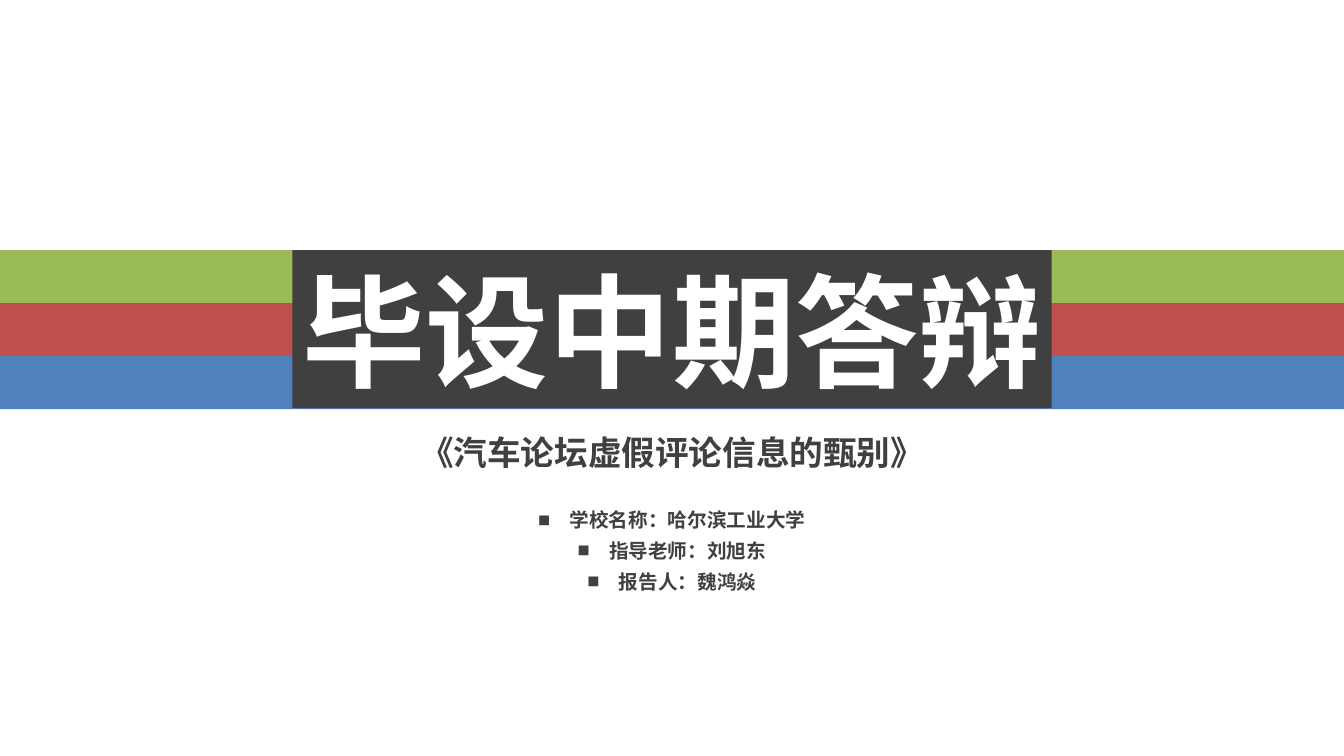
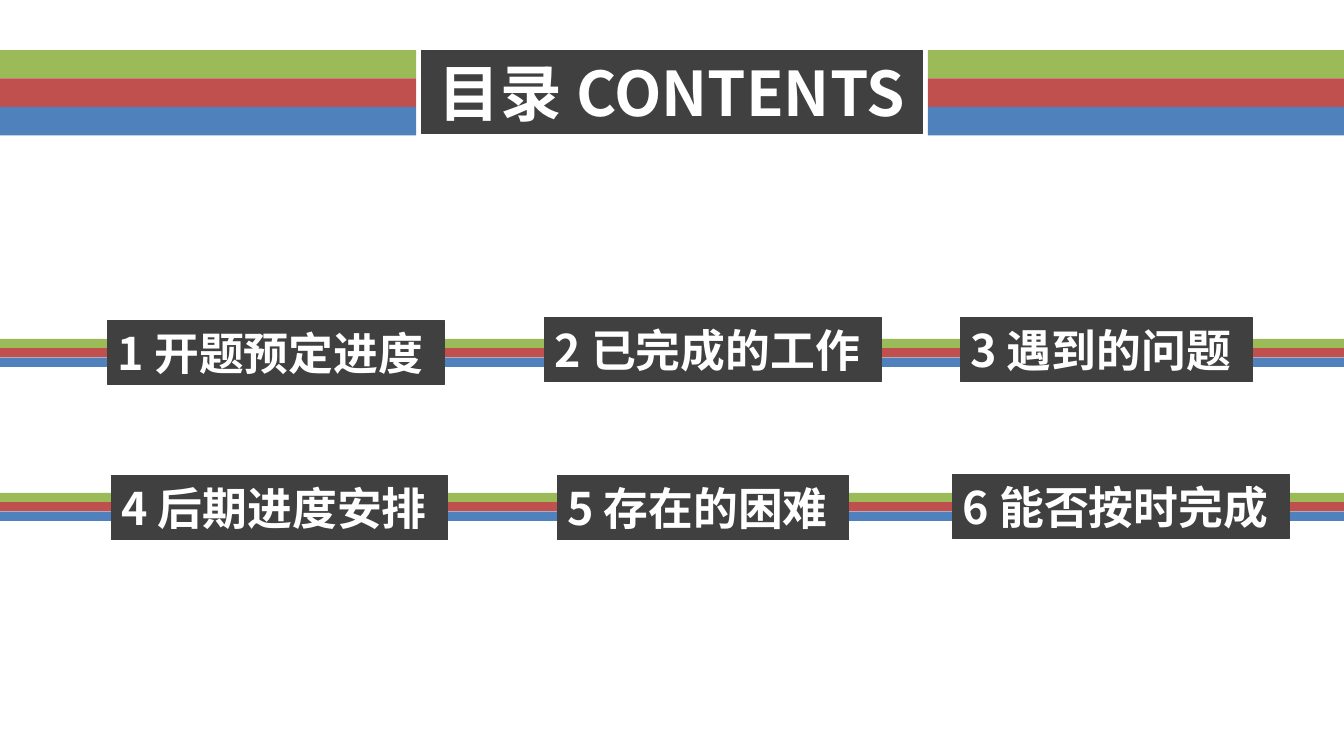
from dataclasses import dataclass

from lxml import etree
from pptx import Presentation
from pptx.dml.color import RGBColor
from pptx.enum.shapes import MSO_SHAPE
from pptx.enum.text import MSO_ANCHOR, PP_ALIGN
from pptx.oxml.ns import qn
from pptx.util import Pt

RECTANGLE = MSO_SHAPE.RECTANGLE
MIDDLE = MSO_ANCHOR.MIDDLE
LEFT, CENTER = PP_ALIGN.LEFT, PP_ALIGN.CENTER


@dataclass(frozen=True)
class Theme:
    stripes: tuple = ("9BBB59", "C0504D", "4F81BD")
    dark: str = "404040"
    light: str = "FFFFFF"
    font: str = "Noto Sans CJK SC"
    cover: int = 88
    title: int = 44
    item: int = 32
    subtitle: int = 24
    info: int = 14


THEME = Theme()
WIDTH, HEIGHT = 960, 540

# Content
COVER_TITLE = "毕设中期答辩"
COVER_SUBTITLE = "《汽车论坛虚假评论信息的甄别》"
COVER_INFO = ["学校名称：哈尔滨工业大学", "指导老师：刘旭东", "报告人：魏鸿焱"]
CONTENTS_TITLE = "目录 CONTENTS"
# Each row: top of its stripes, then label with left and top of its box
CONTENTS_ROWS = [
    (242, [("开题预定进度", 77, 229), ("已完成的工作", 389, 227), ("遇到的问题", 686, 227)]),
    (352, [("后期进度安排", 79.5, 340), ("存在的困难", 398, 340), ("能否按时完成", 680.5, 339)]),
]


# Helpers
def color(value):
    return RGBColor.from_string(value)


def add_bar(page, left, top, width, height, fill, line=None):
    bar = page.shapes.add_shape(RECTANGLE, Pt(left), Pt(top), Pt(width), Pt(height))
    bar.shadow.inherit = False
    bar.fill.solid()
    bar.fill.fore_color.rgb = color(fill)
    if line:
        bar.line.color.rgb = color(line)
        bar.line.width = Pt(0.75)
    else:
        bar.line.fill.background()
    return bar


def add_stripes(page, top, step, left=0, width=WIDTH):
    for index, fill in enumerate(THEME.stripes):
        add_bar(page, left, top + index * step, width, step, fill)


def add_span(para, text, size, ink):
    span = para.add_run()
    span.text = text
    font = span.font
    font.size, font.bold, font.name = Pt(size), True, THEME.font
    font.color.rgb = color(ink)
    properties = span._r.get_or_add_rPr()
    etree.SubElement(properties, qn("a:ea")).set("typeface", THEME.font)


def add_bullet(para, symbol):
    properties = para._p.get_or_add_pPr()
    indent = Pt(22.5)
    properties.set("marL", str(indent))
    properties.set("indent", str(-indent))
    tint = etree.SubElement(properties, qn("a:buClr"))
    etree.SubElement(tint, qn("a:srgbClr")).set("val", THEME.dark)
    etree.SubElement(properties, qn("a:buSzPct")).set("val", "62000")
    etree.SubElement(properties, qn("a:buFont")).set("typeface", THEME.font)
    etree.SubElement(properties, qn("a:buChar")).set("char", symbol)


def write(box, *lines, size, ink, align=CENTER, wrap=False, spacing=None, bullet=None):
    frame = box.text_frame
    frame.word_wrap = wrap
    frame.vertical_anchor = MIDDLE
    for index, line in enumerate(lines):
        para = frame.add_paragraph() if index else frame.paragraphs[0]
        para.alignment = align
        if spacing:
            para.line_spacing = spacing
        if bullet:
            add_bullet(para, bullet)
        add_span(para, line, size, ink)


def add_text(page, left, top, width, height, *lines, **style):
    box = page.shapes.add_textbox(Pt(left), Pt(top), Pt(width), Pt(height))
    write(box, *lines, ink=THEME.dark, **style)


def add_plate(page, left, top, width, height, text, line=THEME.dark, **style):
    plate = add_bar(page, left, top, width, height, THEME.dark, line)
    write(plate, text, ink=THEME.light, **style)


# Slides
def build_cover(page):
    add_stripes(page, 178.6, 37.9)
    add_plate(page, 208.8, 178.6, 542.4, 113, COVER_TITLE, line=None, size=THEME.cover)
    add_text(page, 270, 304.6, 420, 36, COVER_SUBTITLE, size=THEME.subtitle)
    add_text(page, 273.5, 357, 413, 67.7, *COVER_INFO, size=THEME.info,
             wrap=True, spacing=1.3, bullet="■")


def build_contents(page):
    for top, _ in CONTENTS_ROWS:
        add_stripes(page, top, 6.7)
    plate_width, band_width = 358, 297.2
    add_plate(page, (WIDTH - plate_width) / 2, 36, plate_width, 59.6,
              CONTENTS_TITLE, size=THEME.title)
    for left in (0, WIDTH - band_width):
        add_stripes(page, 35.8, 20.3, left, band_width)
    number = 0
    for _, items in CONTENTS_ROWS:
        for label, left, top in items:
            number += 1
            width = 48.4 + len(label) * THEME.item
            add_plate(page, left, top, width, 45.5, f"{number} {label}",
                      size=THEME.item, align=LEFT)


def main():
    deck = Presentation()
    deck.slide_width, deck.slide_height = Pt(WIDTH), Pt(HEIGHT)
    for build in (build_cover, build_contents):
        build(deck.slides.add_slide(deck.slide_layouts[6]))
    deck.save("out.pptx")


if __name__ == "__main__":
    main()
